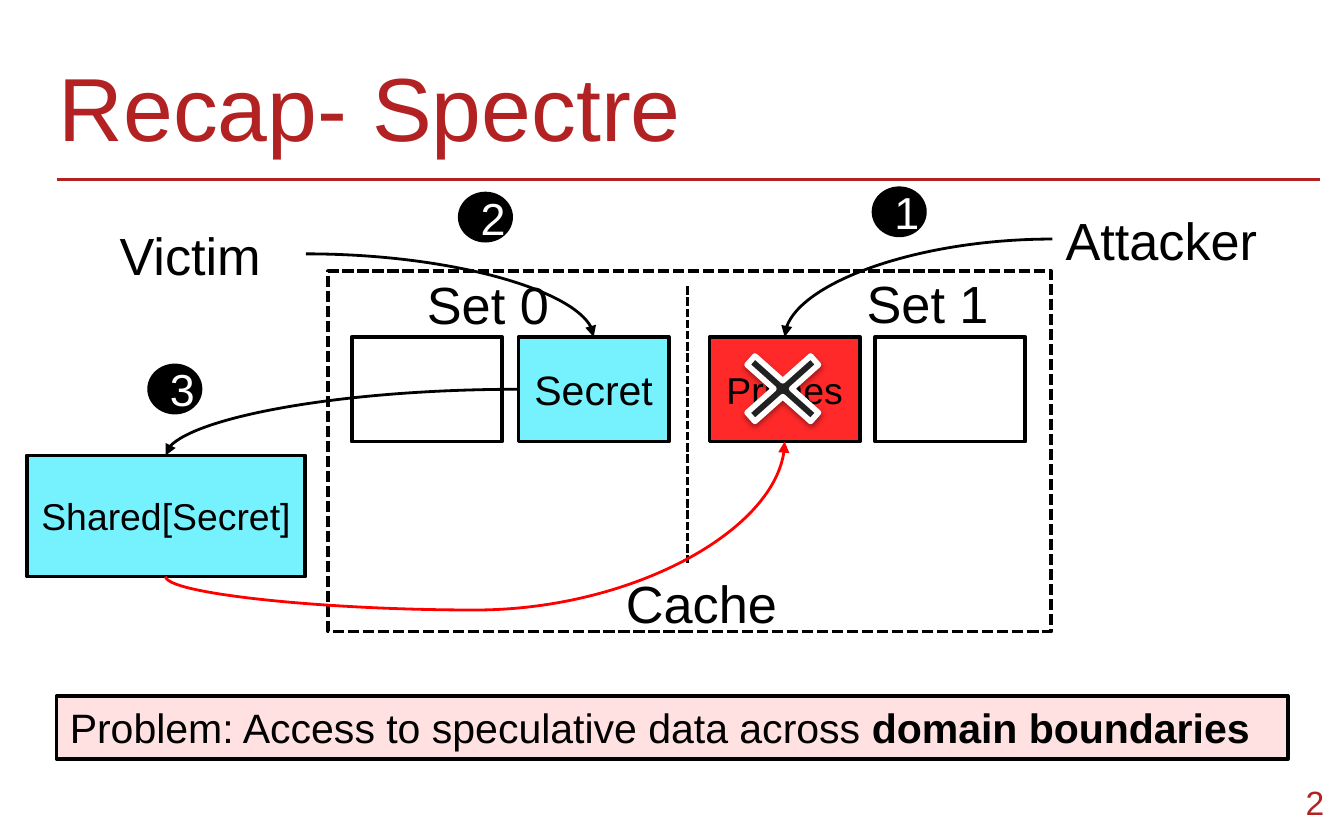
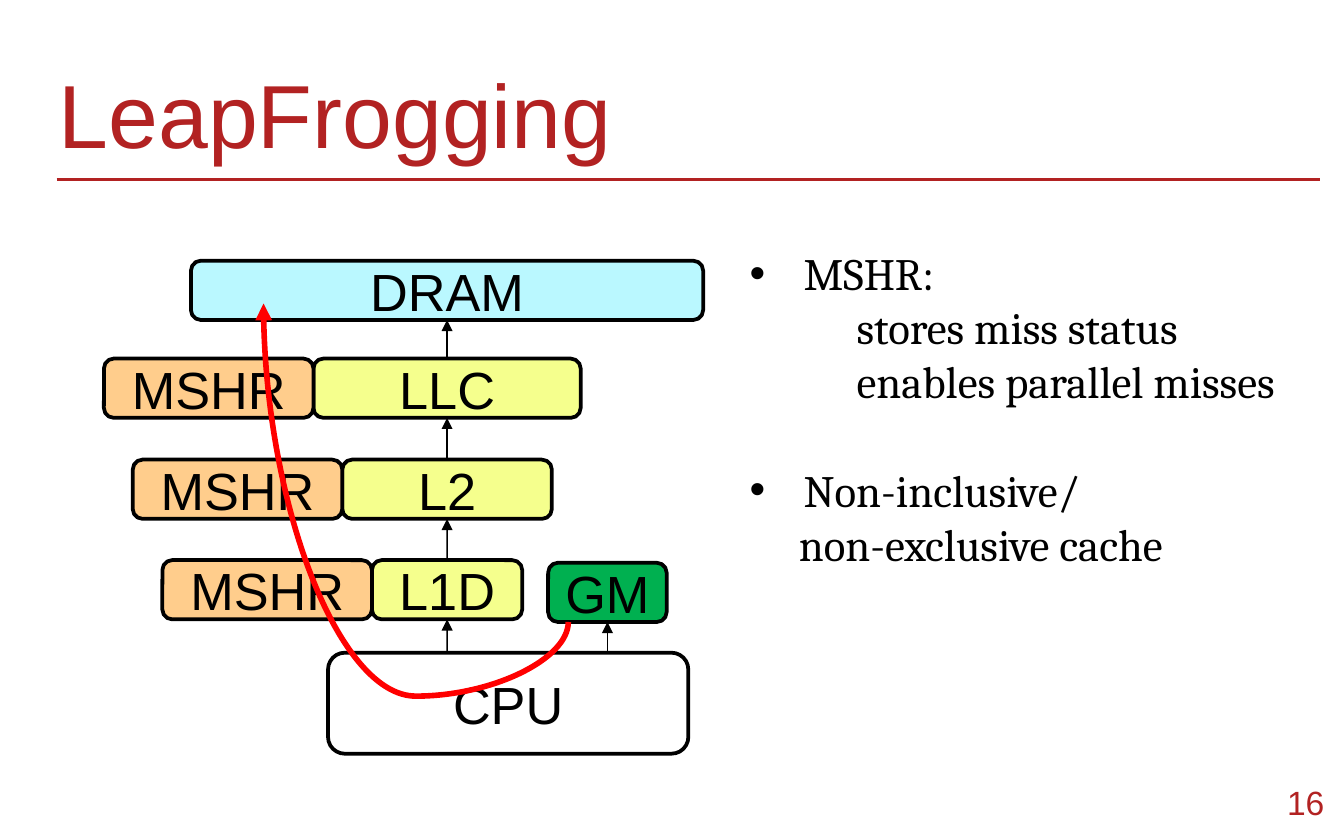
from lxml.etree import SubElement
from pptx import Presentation
from pptx.dml.color import RGBColor
from pptx.enum.dml import MSO_LINE
from pptx.enum.shapes import MSO_CONNECTOR, MSO_SHAPE
from pptx.enum.text import MSO_ANCHOR, MSO_AUTO_SIZE, PP_ALIGN
from pptx.oxml.ns import qn
from pptx.util import Cm, Pt

COLORS = {
    "black": "000000", "white": "FFFFFF", "title": "B22222", "arrow": "FF0000",
    "secret": "76F2FF", "primes": "FF2929", "cross": "212121", "problem": "FFE1E1",
    "level": "F5FF8D", "memory": "BAF8FF", "mshr": "FFCD8C", "gm": "00B050",
}

# Spectre slide, lengths in centimetres
CACHE = (6.2, 5.13, 13.67, 6.81)
LINE_TOP, LINE_WIDTH, LINE_HEIGHT = 6.37, 2.84, 1.98
CACHE_LINES = [  # left, text, fill, text size
    (6.65, "", "white", 22),
    (9.8, "Secret", "secret", 22),
    (13.41, "Primes", "primes", 20),
    (16.54, "", "white", 22),
]
SHARED = (0.51, 8.61, 5.26, 2.29)
LABELS = [  # text, left, top, width
    ("Set 1", 16.13, 5, 3.15),
    ("Set 0", 7.82, 5.03, 3.15),
    ("Attacker", 19.89, 3.81, 5.23),
    ("Victim", 2.01, 4.09, 3.78),
    ("Cache", 11.58, 10.67, 4.27),
]
ACCESSES = [  # start, end
    ((19.89, 4.52), (14.83, 6.37)),
    ((5.78, 4.8), (11.22, 6.37)),
    ((9.8, 7.36), (3.13, 8.61)),
]
EVICTION = ((3.13, 10.9), (14.83, 8.35))
STEPS = [("1", 16.51, 3.56), ("2", 8.69, 3.66), ("3", 2.82, 6.91)]
PROBLEM = [("Problem: Access to speculative data across ", False),
           ("domain boundaries", True)]

# LeapFrogging slide
LEVEL_CENTER, LEVEL_HEIGHT, MSHR_WIDTH = 8.45, 1.12, 3.96
LEVELS = [  # text, top, width, fill, has MSHR
    ("L1D", 10.59, 2.84, "level", True),
    ("L2", 8.69, 3.96, "level", True),
    ("LLC", 6.78, 5.05, "level", True),
    ("DRAM", 4.93, 9.68, "memory", False),
]
CPU = (6.2, 12.34, 6.81, 1.91)
GM = (10.36, 10.64, 2.24, LEVEL_HEIGHT)
LEAP = ((10.74, 11.76), (4.98, 5.74))
NOTES = [  # text, left margin, bulleted, points before
    ("MSHR:", 1.27, True, 0),
    ("stores miss status", 2.27, False, 0),
    ("enables parallel misses", 2.27, False, 0),
    ("Non-inclusive/", 1.27, True, 29),
    ("non-exclusive cache", 1.18, False, 0),
]


def rgb(name):
    return RGBColor.from_string(COLORS[name])


def write(shape, content, size=28, color="black", font="Arial", align=PP_ALIGN.LEFT,
          anchor=MSO_ANCHOR.TOP, inset=None, grow=False, para=None):
    """Fill a paragraph with a string or a list of (text, bold) spans."""
    frame = shape.text_frame
    frame.word_wrap = True
    frame.vertical_anchor = anchor
    frame.auto_size = MSO_AUTO_SIZE.SHAPE_TO_FIT_TEXT if grow else MSO_AUTO_SIZE.NONE
    if inset is not None:
        frame.margin_left = frame.margin_right = Cm(inset)
        frame.margin_top = frame.margin_bottom = Cm(inset)
    para = para or frame.paragraphs[0]
    para.alignment = align
    for text, bold in [(content, False)] if isinstance(content, str) else content:
        span = para.add_run()
        span.text = text
        span.font.size = Pt(size)
        span.font.name = font
        span.font.bold = bold
        span.font.color.rgb = rgb(color)


def add_text(page, content, at, **style):
    box = page.shapes.add_textbox(*map(Cm, at))
    write(box, content, **style)
    return box


def add_box(page, at, fill=None, kind=MSO_SHAPE.RECTANGLE, text="", outline="black",
            weight=2, **style):
    box = page.shapes.add_shape(kind, *map(Cm, at))
    box.shadow.inherit = False
    if fill:
        box.fill.solid()
        box.fill.fore_color.rgb = rgb(fill)
    else:
        box.fill.background()
    box.line.color.rgb = rgb(outline)
    box.line.width = Pt(weight)
    if text:
        write(box, text, **{"align": PP_ALIGN.CENTER, "anchor": MSO_ANCHOR.MIDDLE, **style})
    return box


def add_line(page, start, end, color="black", weight=1.5, dash=None, arrow=False,
             kind=MSO_CONNECTOR.STRAIGHT):
    line = page.shapes.add_connector(kind, *map(Cm, (*start, *end)))
    line.line.color.rgb = rgb(color)
    line.line.width = Pt(weight)
    if dash:
        line.line.dash_style = dash
    properties = line._element.spPr
    if arrow:
        SubElement(properties.find(qn("a:ln")), qn("a:tailEnd"), type="triangle")
    SubElement(properties, qn("a:effectLst"))
    return line


def add_curve(page, start, end, turn=0, flips=(), bulge=None, **style):
    """Draw a curved arrow, turned by whole degrees; a bulge makes it a U-bend."""
    width, height = abs(end[0] - start[0]), abs(end[1] - start[1])
    if turn in (90, 270):
        width, height = height, width
    left = (start[0] + end[0] - width) / 2
    top = (start[1] + end[1] - height) / 2
    curve = add_line(page, (left, top), (left + width, top + height), arrow=True,
                     kind=MSO_CONNECTOR.CURVE, **style)
    frame = curve._element.spPr.find(qn("a:xfrm"))
    frame.set("rot", str(turn * 60000))
    for flip in flips:
        frame.set(flip, "1")
    geometry = curve._element.spPr.find(qn("a:prstGeom"))
    if bulge is None:
        geometry.set("prst", "curvedConnector2")
    else:
        SubElement(geometry.find(qn("a:avLst")), qn("a:gd"), name="adj1",
                   fmla=f"val {round(bulge * 100000)}")


def add_page(deck, title, title_top, number):
    page = deck.slides.add_slide(deck.slide_layouts[6])
    add_line(page, (1.07, 3.4), (24.94, 3.4), color="title")
    heading = add_text(page, title, (0.86, title_top, 23.67, 1.78), size=48,
                       color="title", inset=0.25)
    heading.text_frame.margin_top = Cm(0.4)
    add_text(page, number, (23.5, 14.55, 1.78, 1.22), size=18, color="title",
             align=PP_ALIGN.RIGHT, anchor=MSO_ANCHOR.MIDDLE, inset=0.25)
    return page


def add_cross(page):
    cross = add_box(page, (13.64, 6.32, 2.31, 2.06), "cross", MSO_SHAPE.MATH_MULTIPLY,
                    outline="white", weight=3)
    cross.adjustments[0] = 0.108
    effects = cross._element.spPr.find(qn("a:effectLst"))
    shadow = SubElement(effects, qn("a:outerShdw"), blurRad=str(Pt(3.1)),
                        dist=str(Pt(1.6)), dir="5400000", rotWithShape="0")
    shade = SubElement(shadow, qn("a:srgbClr"), val=COLORS["black"])
    SubElement(shade, qn("a:alpha"), val="38000")


def build_spectre(deck):
    page = add_page(deck, "Recap- Spectre", 0.58, "2")
    add_box(page, CACHE).line.dash_style = MSO_LINE.SQUARE_DOT
    for left, text, fill, size in CACHE_LINES:
        add_box(page, (left, LINE_TOP, LINE_WIDTH, LINE_HEIGHT), fill, text=text, size=size)
    add_line(page, (13, 5.41), (13, 10.64), dash=MSO_LINE.SQUARE_DOT)
    for text, left, top, width in LABELS:
        add_text(page, text, (left, top, width, 1.45), grow=True)
    add_box(page, SHARED, "secret", text="Shared[Secret]", size=20)
    for start, end in ACCESSES:
        leftward = end[0] < start[0]
        add_curve(page, start, end, turn=180 if leftward else 0,
                  flips=["flipV"] if leftward else [])
    add_curve(page, *EVICTION, turn=90, flips=["flipH", "flipV"], bulge=-0.249,
              color="arrow")
    add_cross(page)
    for number, left, top in STEPS:
        add_box(page, (left, top, 0.97, 0.89), "black", MSO_SHAPE.OVAL, number,
                size=24, color="white")
    add_box(page, (1.07, 13.16, 23.27, 1.19), "problem", text=PROBLEM, size=22,
            align=PP_ALIGN.LEFT, anchor=MSO_ANCHOR.TOP, grow=True)


def add_notes(page):
    box = page.shapes.add_textbox(*map(Cm, (13.67, 4.39, 11.48, 6.68)))
    for index, (text, margin, bulleted, before) in enumerate(NOTES):
        para = box.text_frame.add_paragraph() if index else box.text_frame.paragraphs[0]
        properties = para._p.get_or_add_pPr()
        properties.set("marL", str(Cm(margin)))
        properties.set("indent", str(Cm(-1.02 if bulleted else 0)))
        if bulleted:
            SubElement(properties, qn("a:buFont"), typeface="Arial")
            SubElement(properties, qn("a:buChar"), char="•")
        para.line_spacing = Pt(29)
        if before:
            para.space_before = Pt(before)
        write(box, text, size=24, font="Cambria", inset=0.25, grow=True, para=para)


def build_leapfrogging(deck):
    page = add_page(deck, "LeapFrogging", 0.71, "16")
    rounded = MSO_SHAPE.ROUNDED_RECTANGLE
    levels = []
    for text, top, width, fill, has_mshr in LEVELS:
        left = LEVEL_CENTER - width / 2
        levels.append(add_box(page, (left, top, width, LEVEL_HEIGHT), fill, rounded, text))
        if has_mshr:
            add_box(page, (left - MSHR_WIDTH, top, MSHR_WIDTH, LEVEL_HEIGHT), "mshr",
                    rounded, "MSHR")
    add_box(page, CPU, "white", rounded, "CPU")
    gm = add_box(page, GM, "gm", rounded, "GM")
    for lower, upper in zip(levels, levels[1:]):
        arrow = add_line(page, (0, 0), (1, 1), weight=0.75, arrow=True)
        arrow.begin_connect(lower, 0)
        arrow.end_connect(upper, 2)
    for target in (levels[0], gm):
        center = (target.left + target.width / 2) / Cm(1)
        arrow = add_line(page, (center, CPU[1]), (center, CPU[1] - 0.6), weight=0.75,
                         arrow=True)
        arrow.end_connect(target, 2)
    add_notes(page)
    add_curve(page, *LEAP, turn=270, flips=["flipV"], bulge=-0.233, color="arrow",
              weight=3)


def main():
    deck = Presentation()
    deck.slide_width, deck.slide_height = Cm(25.4), Cm(15.88)
    build_spectre(deck)
    build_leapfrogging(deck)
    deck.save("out.pptx")


if __name__ == "__main__":
    main()
